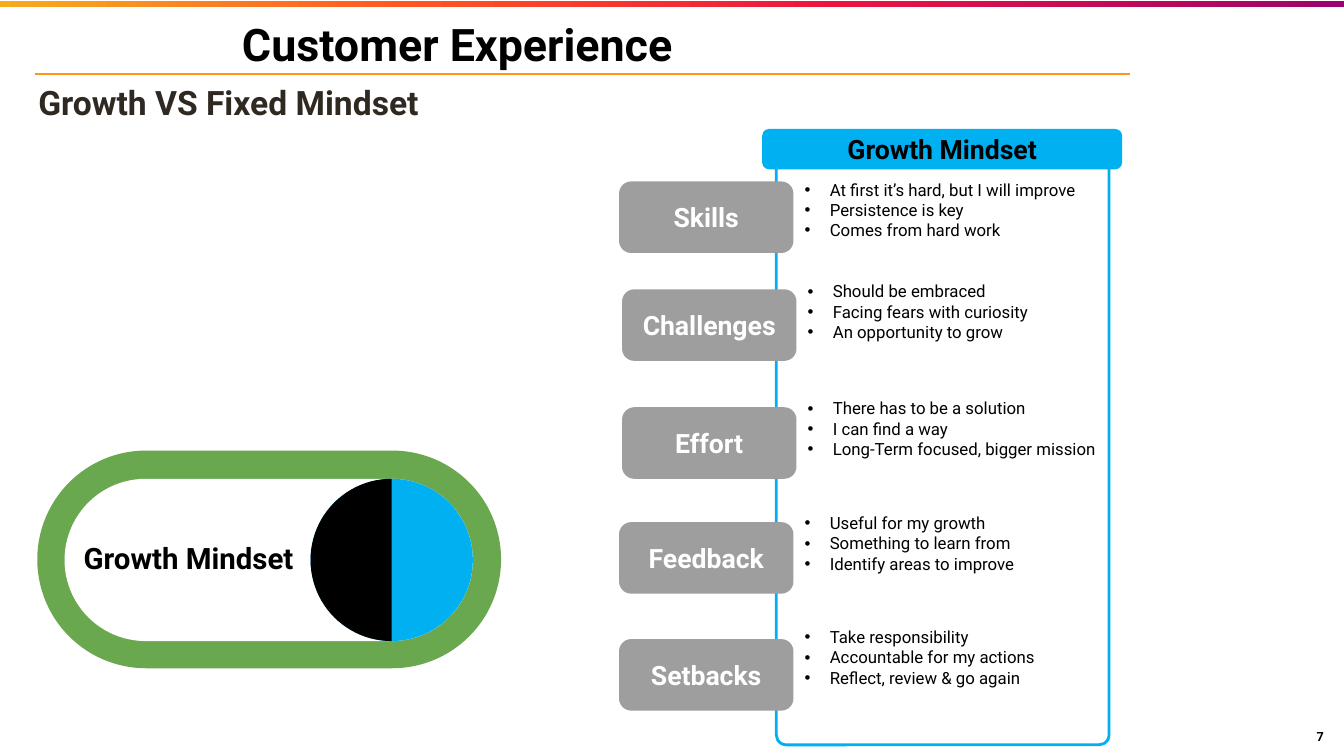
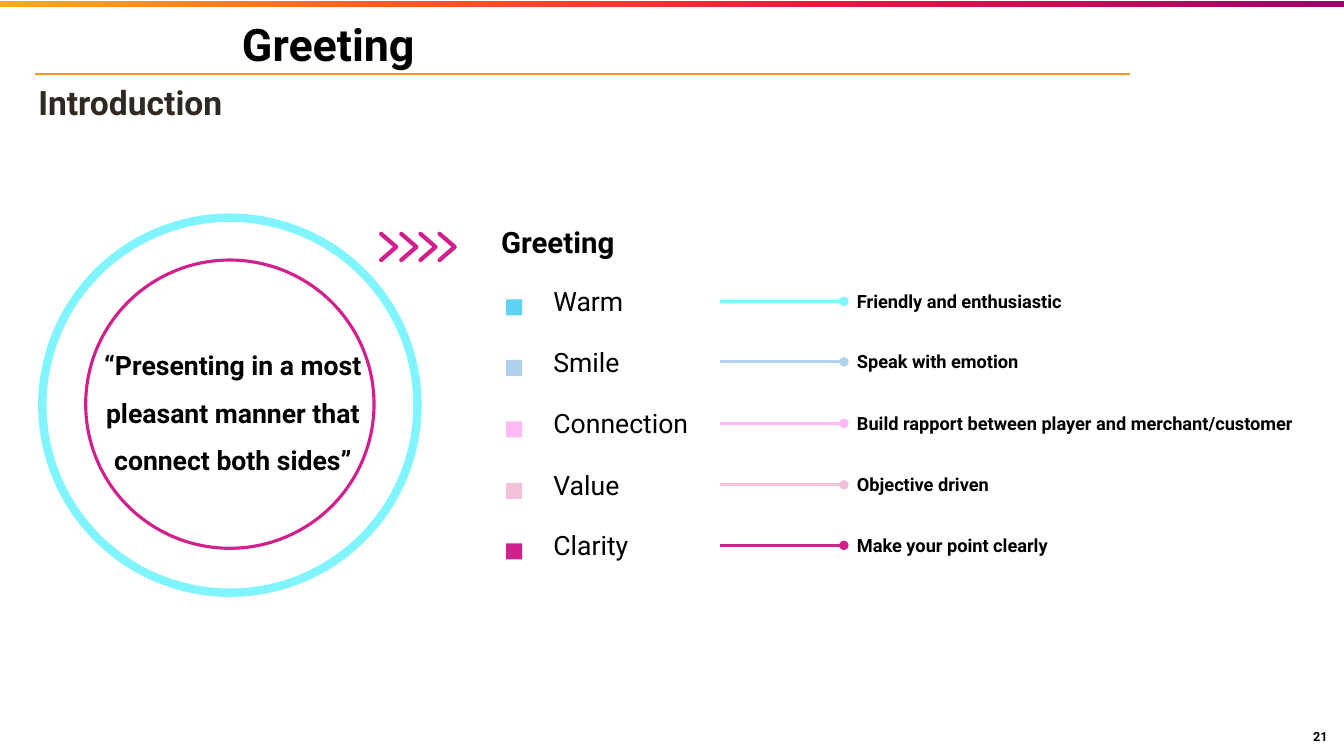
from lxml.etree import SubElement
from pptx import Presentation
from pptx.dml.color import RGBColor
from pptx.enum.shapes import MSO_CONNECTOR, MSO_SHAPE
from pptx.enum.text import MSO_ANCHOR, MSO_AUTO_SIZE, PP_ALIGN
from pptx.oxml.ns import qn
from pptx.util import Pt

PX = 9144  # one hundredth of an inch
FONT = "Roboto"

BLACK = RGBColor(0x00, 0x00, 0x00)
WHITE = RGBColor(0xFF, 0xFF, 0xFF)
DARK = RGBColor(0x2F, 0x29, 0x22)
GREY = RGBColor(0x9E, 0x9E, 0x9E)
ORANGE = RGBColor(0xFF, 0x94, 0x19)
BLUE = RGBColor(0x00, 0xB0, 0xF0)
GREEN = RGBColor(0x6A, 0xA8, 0x4F)
CYAN = RGBColor(0x81, 0xF5, 0xFF)
SKY = RGBColor(0x5E, 0xD2, 0xF1)
PALE_BLUE = RGBColor(0xB0, 0xD2, 0xEF)
PINK = RGBColor(0xFF, 0xB9, 0xF5)
ROSE = RGBColor(0xF1, 0xC2, 0xDA)
MAGENTA = RGBColor(0xD1, 0x20, 0x8D)
BAND_STOPS = [(0, "F7AB1D"), (30, "FF5722"), (62, "EC153F"), (100, "9C036D")]

# Label, label left and top, list top, points
MINDSET_ROWS = [
    ("Skills", 614, 180, 165,
     ["At first it’s hard, but I will improve", "Persistence is key",
      "Comes from hard work"]),
    ("Challenges", 617, 287, 266,
     ["Should be embraced", "Facing fears with curiosity",
      "An opportunity to grow"]),
    ("Effort", 617, 404, 382,
     ["There has to be a solution", "I can find a way",
      "Long-Term focused, bigger mission"]),
    ("Feedback", 614, 518, 496,
     ["Useful for my growth", "Something to learn from",
      "Identify areas to improve"]),
    ("Setbacks", 614, 634, 609,
     ["Take responsibility", "Accountable for my actions",
      "Reflect, review & go again"]),
]

# Word, explanation, square colour, line colour
GREETING_ROWS = [
    ("Warm", "Friendly and enthusiastic", SKY, CYAN),
    ("Smile", "Speak with emotion", PALE_BLUE, PALE_BLUE),
    ("Connection", "Build rapport between player and merchant/customer", PINK, PINK),
    ("Value", "Objective driven", ROSE, ROSE),
    ("Clarity", "Make your point clearly", MAGENTA, MAGENTA),
]


def set_values(target, values):
    for name, value in values.items():
        setattr(target, name, value)


def place(shape, box):
    set_values(shape, {name: value * PX for name, value
                       in zip(("left", "top", "width", "height"), box)})


def write(shape, lines, size, color=BLACK, bold=True, align=PP_ALIGN.LEFT,
          anchor=MSO_ANCHOR.TOP, insets=(13, 7), bullet=None, spacing=1.0):
    """Fill a shape with paragraphs; bullet is None or a character."""
    frame = shape.text_frame
    side, vertical = (inset * PX for inset in insets)
    set_values(frame, {
        "text": "\n".join(lines), "word_wrap": True,
        "auto_size": MSO_AUTO_SIZE.NONE, "vertical_anchor": anchor,
        "margin_left": side, "margin_right": side,
        "margin_top": vertical, "margin_bottom": vertical})
    for paragraph in frame.paragraphs:
        set_values(paragraph, {"alignment": align, "line_spacing": spacing,
                               "space_before": Pt(0)})
        properties = paragraph._p.get_or_add_pPr()
        indent = 25 * PX if bullet else 0
        properties.set("marL", str(indent))
        properties.set("indent", str(-indent))
        if bullet:
            SubElement(properties, qn("a:buFont"), typeface="Arial")
            SubElement(properties, qn("a:buChar"), char=bullet)
        else:
            SubElement(properties, qn("a:buNone"))
        for run in paragraph.runs:
            set_values(run.font, {"name": FONT, "size": Pt(size), "bold": bold})
            run.font.color.rgb = color


def add_text(slide, box, lines, size, **style):
    shape = slide.shapes.add_textbox(0, 0, 0, 0)
    place(shape, box)
    write(shape, lines, size, **style)


def paint(shape, fill=None, line=None, width=1):
    shape.shadow.inherit = False
    if fill is None:
        shape.fill.background()
    else:
        shape.fill.solid()
        shape.fill.fore_color.rgb = fill
    if line is None:
        shape.line.fill.background()
    else:
        shape.line.color.rgb = line
        shape.line.width = Pt(width)


def add_figure(slide, kind, box, fill=None, line=None, width=1, adjustments=()):
    shape = slide.shapes.add_shape(kind, 0, 0, 0, 0)
    place(shape, box)
    paint(shape, fill, line, width)
    for index, value in enumerate(adjustments):
        shape.adjustments[index] = value
    return shape


def add_rule(slide, left, right, y, color, width, end=None):
    rule = slide.shapes.add_connector(
        MSO_CONNECTOR.STRAIGHT, left * PX, y * PX, right * PX, y * PX)
    rule.line.color.rgb = color
    rule.line.width = Pt(width)
    properties = rule._element.spPr
    if end:
        SubElement(properties.get_or_add_ln(), qn("a:tailEnd"), type=end)
    SubElement(properties, qn("a:effectLst"))


def add_chevron(slide, left, top):
    builder = slide.shapes.build_freeform(left, top, scale=PX)
    builder.add_line_segments([(left + 15, top + 13), (left, top + 26)], close=False)
    chevron = builder.convert_to_shape()
    paint(chevron, line=MAGENTA, width=3)
    outline = chevron._element.spPr.get_or_add_ln()
    outline.set("cap", "rnd")
    SubElement(outline, qn("a:round"))


def add_band(slide):
    band = add_figure(slide, MSO_SHAPE.RECTANGLE, (0, 1, 1333, 6), WHITE)
    band.fill.gradient()
    band.fill.gradient_angle = 0
    stops = band._element.spPr.find(qn("a:gradFill")).find(qn("a:gsLst"))
    for stop in list(stops):
        stops.remove(stop)
    for position, color in BAND_STOPS:
        stop = SubElement(stops, qn("a:gs"), pos=str(position * 1000))
        SubElement(stop, qn("a:srgbClr"), val=color)


def start_slide(presentation, title, subtitle, number):
    """Add a slide with the shared band, title, rule, subtitle and number."""
    slide = presentation.slides.add_slide(presentation.slide_layouts[1])
    heading, body = slide.placeholders
    place(heading, (237, 5, 846, 77))
    write(heading, [title], 32, anchor=MSO_ANCHOR.MIDDLE, insets=(3, 3))
    place(body, (35, 81, 1078, 40))
    write(body, [subtitle], 24, color=DARK, anchor=MSO_ANCHOR.MIDDLE, insets=(3, 3))
    add_band(slide)
    add_rule(slide, 35, 1121, 73, ORANGE, 1.5)
    add_text(slide, (1286, 714, 47, 34), [number], 9, align=PP_ALIGN.CENTER,
             anchor=MSO_ANCHOR.MIDDLE, insets=(0, 0))
    return slide


def add_toggle(slide):
    pill, knob = MSO_SHAPE.ROUNDED_RECTANGLE, (308, 475, 161, 161)
    add_figure(slide, pill, (37, 447, 460, 216), GREEN, adjustments=[0.5])
    add_figure(slide, pill, (64, 475, 405, 161), WHITE, adjustments=[0.5])
    add_figure(slide, MSO_SHAPE.OVAL, knob, BLUE)
    # Chord angles of 90 and 270 degrees leave the left half
    add_figure(slide, MSO_SHAPE.CHORD, knob, BLACK, adjustments=[54, 162])
    add_text(slide, (70, 529, 241, 49), ["Growth Mindset"], 21)


def build_mindset(presentation):
    slide = start_slide(presentation, "Customer Experience",
                        "Growth VS Fixed Mindset", "7")
    rounded = MSO_SHAPE.ROUNDED_RECTANGLE
    centred = {"align": PP_ALIGN.CENTER, "anchor": MSO_ANCHOR.MIDDLE}

    # Panel and its header
    add_figure(slide, rounded, (770, 153, 330, 586), WHITE, BLUE, 2, [0.03])
    header = add_figure(slide, rounded, (756, 128, 357, 40), BLUE, adjustments=[0.17])
    write(header, ["Growth Mindset"], 19, insets=(13, 0), **centred)

    add_toggle(slide)

    # Labels with their lists
    for label, left, top, list_top, points in MINDSET_ROWS:
        tag = add_figure(slide, rounded, (left, top, 173, 71), GREY, adjustments=[0.17])
        write(tag, [label], 19, color=WHITE, **centred)
        add_text(slide, (left + 171, list_top, 375, 108), points, 12,
                 bold=False, insets=(13, 13), bullet="•")


def build_greeting(presentation):
    slide = start_slide(presentation, "Greeting", "Introduction", "21")
    add_text(slide, (484, 221, 331, 38), ["Greeting"], 21,
             anchor=MSO_ANCHOR.MIDDLE, insets=(13, 0))

    # Words with their explanations
    for index, (word, detail, square, line) in enumerate(GREETING_ROWS):
        top = 276 + round(60.5 * index)
        add_figure(slide, MSO_SHAPE.RECTANGLE, (502, top + 21, 16, 16), square)
        add_text(slide, (536, top, 177, 45), [word], 19, bold=False)
        add_rule(slide, 714, 837, top + 23, line, 2.25, end="oval")
        add_text(slide, (837, top + 5, 490, 36), [detail], 13)

    # Quote in two rings
    add_figure(slide, MSO_SHAPE.OVAL, (42, 216, 372, 372), WHITE, CYAN, 6)
    add_figure(slide, MSO_SHAPE.OVAL, (85, 258, 286, 286), None, MAGENTA, 2.25)
    add_text(slide, (88, 323, 286, 150),
             ["“Presenting in a most pleasant manner that connect both sides”"],
             19, align=PP_ALIGN.CENTER, spacing=1.5)
    for index in range(4):
        add_chevron(slide, 378 + round(19.5 * index), 232)


def main():
    presentation = Presentation()
    set_values(presentation, {"slide_width": 1333 * PX, "slide_height": 750 * PX})
    build_mindset(presentation)
    build_greeting(presentation)
    presentation.save("out.pptx")


if __name__ == "__main__":
    main()
